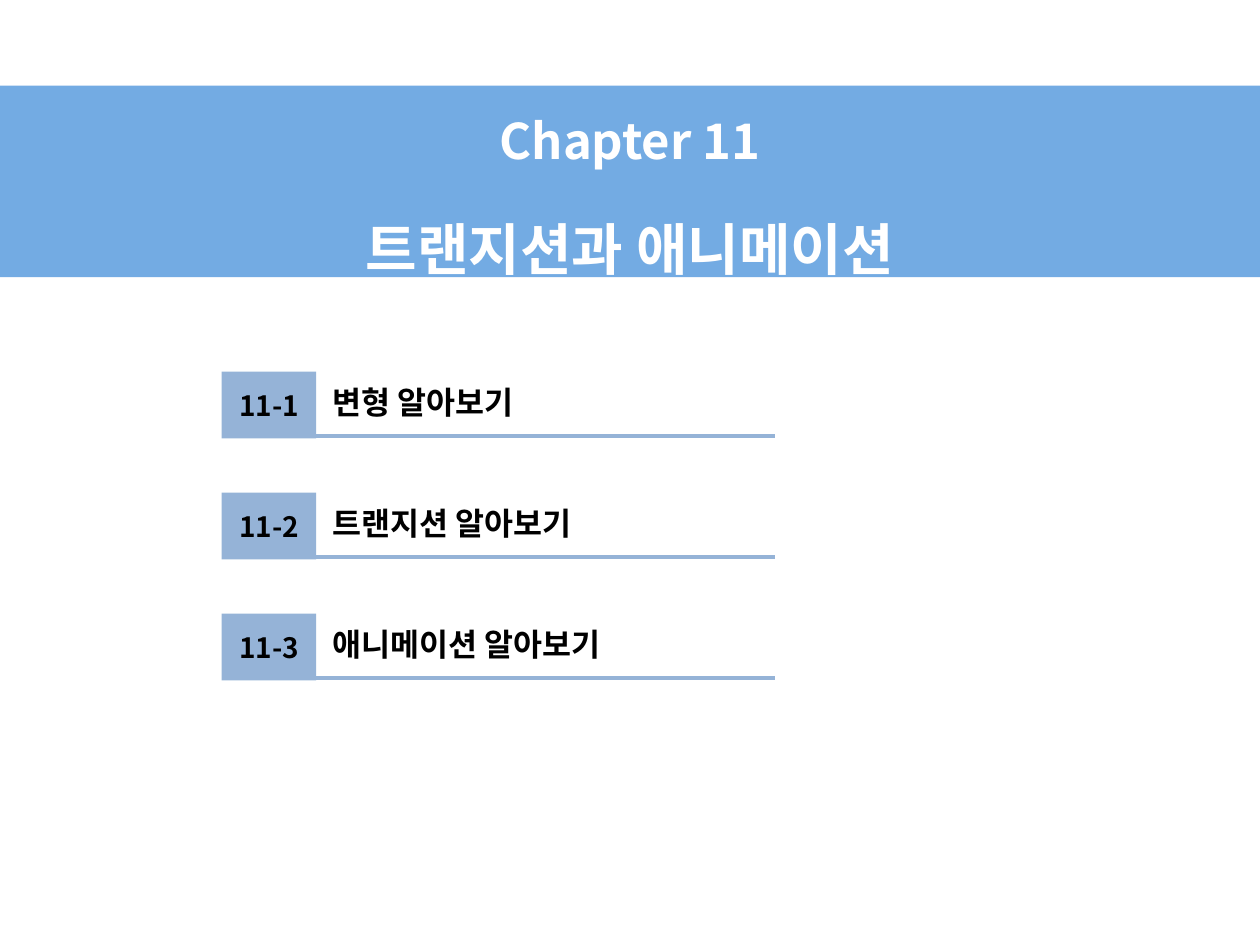
from lxml.etree import SubElement
from pptx import Presentation
from pptx.dml.color import RGBColor
from pptx.enum.shapes import MSO_CONNECTOR, MSO_SHAPE
from pptx.enum.text import MSO_ANCHOR, MSO_AUTO_SIZE, PP_ALIGN
from pptx.oxml.ns import qn
from pptx.util import Inches, Pt

FONT = "Noto Sans CJK KR"
BAND, ACCENT, WHITE, BLACK = "0066CC", "95B3D7", "FFFFFF", "000000"
TITLE = [("Chapter 11", 28), ("트랜지션과 애니메이션", 32)]
SECTIONS = [
    ("11-1", "변형 알아보기"),
    ("11-2", "트랜지션 알아보기"),
    ("11-3", "애니메이션 알아보기"),
]
TOP, STEP = 2.95, 0.96


def rgb(color):
    return RGBColor.from_string(color)


def box(*lengths):
    return [Inches(n) for n in lengths]


def write(p, text, size, color=BLACK, align=PP_ALIGN.LEFT):
    p.alignment = align
    r = p.add_run()
    r.text = text
    r.font.name, r.font.size, r.font.bold = FONT, Pt(size), True
    r.font.color.rgb = rgb(color)
    SubElement(r.font._element, qn("a:ea"), typeface=FONT)


def add_title(s):
    sp = s.shapes.title
    sp.left, sp.top, sp.width, sp.height = box(0, 0.68, 10, 1.52)
    sp.fill.solid()
    sp.fill.fore_color.rgb = rgb(BAND)
    color = sp._element.spPr.find(qn("a:solidFill"))[0]
    SubElement(color, qn("a:alpha"), val="55000")
    tf = sp.text_frame
    tf.auto_size = MSO_AUTO_SIZE.NONE
    tf.vertical_anchor = MSO_ANCHOR.MIDDLE
    for i, (text, size) in enumerate(TITLE):
        p = tf.add_paragraph() if i else tf.paragraphs[0]
        p.line_spacing = 1.5
        p.space_before = Pt(0.2 * size if i else 0)
        write(p, text, size, WHITE, PP_ALIGN.CENTER)


def add_section(s, top, number, name):
    shapes = s.shapes.add_group_shape().shapes
    tag = shapes.add_shape(MSO_SHAPE.RECTANGLE, *box(1.76, top, 0.75, 0.53))
    tag.shadow.inherit = False
    tag.fill.solid()
    tag.fill.fore_color.rgb = rgb(ACCENT)
    tag.line.fill.background()
    tag.text_frame.vertical_anchor = MSO_ANCHOR.MIDDLE
    write(tag.text_frame.paragraphs[0], number, 16, align=PP_ALIGN.CENTER)

    tf = shapes.add_textbox(*box(2.54, top + 0.04, 4.35, 0.4)).text_frame
    tf.word_wrap = True
    tf.auto_size = MSO_AUTO_SIZE.SHAPE_TO_FIT_TEXT
    write(tf.paragraphs[0], name, 18)

    y = top + 0.51
    rule = shapes.add_connector(MSO_CONNECTOR.STRAIGHT, *box(2.5, y, 6.15, y))
    rule.line.color.rgb = rgb(ACCENT)
    rule.line.width = Pt(2.25)
    SubElement(rule._element.spPr, qn("a:effectLst"))


def main():
    prs = Presentation()
    prs.slide_width, prs.slide_height = box(10, 7.5)
    s = prs.slides.add_slide(prs.slide_layouts[5])
    add_title(s)
    for i, (number, name) in enumerate(SECTIONS):
        add_section(s, TOP + i * STEP, number, name)
    prs.save("out.pptx")


if __name__ == "__main__":
    main()
